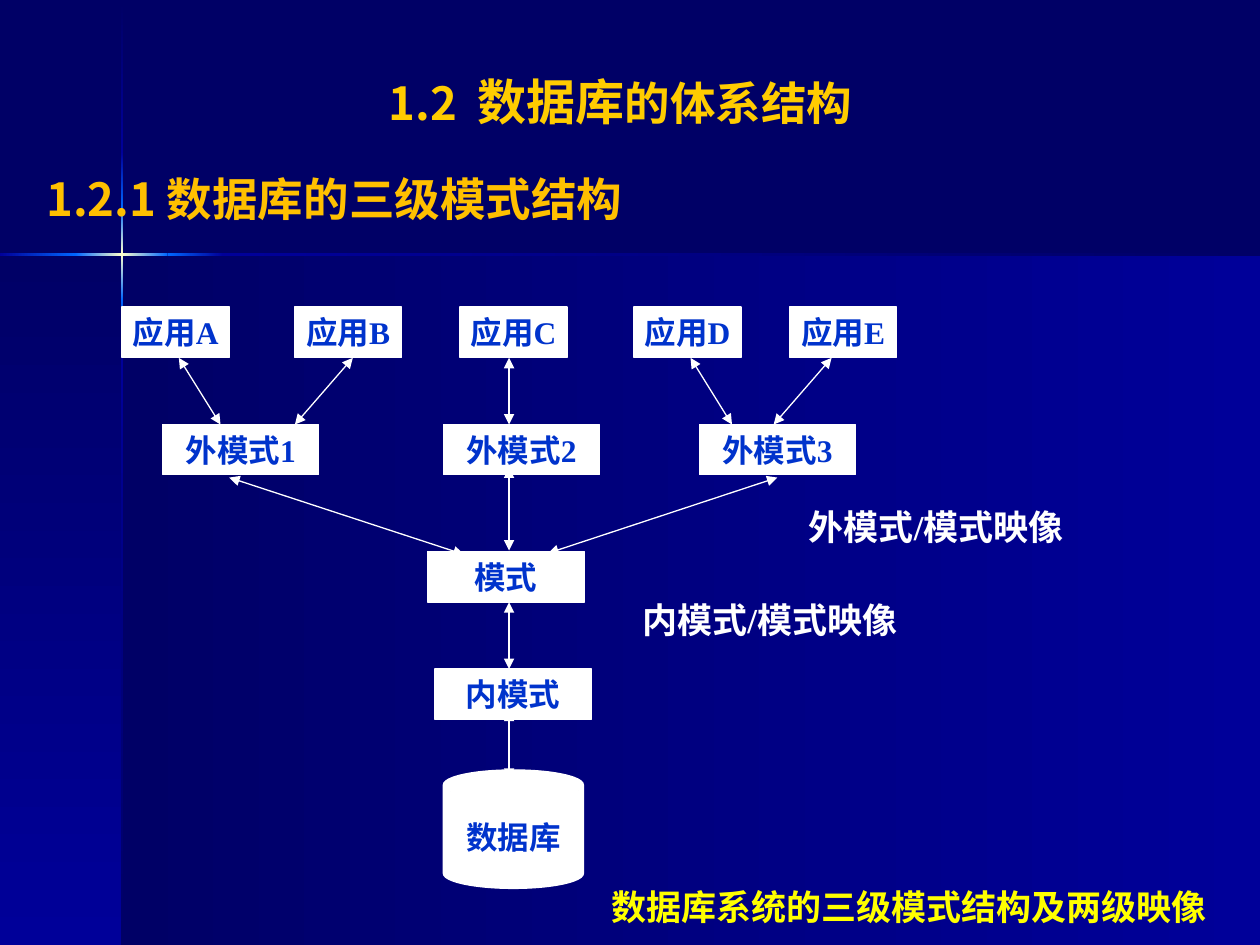
from copy import deepcopy

from lxml import etree
from pptx import Presentation
from pptx.dml.color import RGBColor
from pptx.enum.shapes import MSO_CONNECTOR, MSO_SHAPE
from pptx.enum.text import MSO_ANCHOR, MSO_AUTO_SIZE, PP_ALIGN
from pptx.oxml.ns import qn
from pptx.util import Pt

RECT, CAN = MSO_SHAPE.RECTANGLE, MSO_SHAPE.CAN
STRAIGHT = MSO_CONNECTOR.STRAIGHT
LEFT, CENTER = PP_ALIGN.LEFT, PP_ALIGN.CENTER
MIDDLE = MSO_ANCHOR.MIDDLE
GROW = MSO_AUTO_SIZE.SHAPE_TO_FIT_TEXT

SANS, SERIF = "Noto Sans CJK SC", "Times New Roman"
NIGHT, NAVY, AZURE, CREAM = "000066", "000099", "0066FF", "FFFFCC"
WHITE, INK, GOLD, AMBER, YELLOW = "FFFFFF", "0033CC", "FFCC00", "FFC000", "FFFF00"


def rgb(hex_color):
    return RGBColor.from_string(hex_color)


class SlideBuilder:
    line_width = 0.75

    def __init__(self, slide):
        self.slide = slide
        slide.background.fill.solid()
        slide.background.fill.fore_color.rgb = rgb(NIGHT)

    def shape(self, kind, left, top, width, height):
        shape = self.slide.shapes.add_shape(
            kind, Pt(left), Pt(top), Pt(width), Pt(height))
        shape.shadow.inherit = False
        return shape

    def gradient(self, left, top, width, height, colors, vertical):
        band = self.shape(RECT, left, top, width, height)
        band.line.fill.background()
        band.fill.gradient()
        band.fill.gradient_angle = 270 if vertical else 0
        stops = band._element.spPr.find(".//" + qn("a:gsLst"))
        for _ in colors[2:]:
            stops.insert(1, deepcopy(stops[0]))
        for i, (stop, color) in enumerate(zip(band.fill.gradient_stops, colors)):
            stop.position = i / (len(colors) - 1)
            stop.color.rgb = rgb(color)

    def add_run(self, paragraph, text, size, color, face, spacing=0):
        run = paragraph.add_run()
        run.text = text
        style = {"size": Pt(size), "bold": True, "name": face}
        for attribute, value in style.items():
            setattr(run.font, attribute, value)
        run.font.color.rgb = rgb(color)
        properties = run.font._element
        etree.SubElement(properties, qn("a:ea")).set("typeface", SANS)
        if spacing:
            properties.set("spc", str(spacing * 100))

    def node(self, text, left, top, width, height=28.8, kind=RECT):
        node = self.shape(kind, left, top, width, height)
        node.fill.solid()
        node.fill.fore_color.rgb = rgb(WHITE)
        node.line.color.rgb = rgb(WHITE)
        node.line.width = Pt(self.line_width)
        frame = node.text_frame
        frame.word_wrap = False
        frame.vertical_anchor = MIDDLE
        frame.paragraphs[0].alignment = CENTER
        self.add_run(frame.paragraphs[0], text, 18, INK, SERIF)
        return node

    def arrow(self, x1, y1, x2, y2):
        arrow = self.slide.shapes.add_connector(
            STRAIGHT, Pt(x1), Pt(y1), Pt(x2), Pt(y2))
        arrow.line.color.rgb = rgb(WHITE)
        arrow.line.width = Pt(self.line_width)
        properties = arrow._element.spPr
        outline = properties.find(qn("a:ln"))
        for end in ("a:headEnd", "a:tailEnd"):
            etree.SubElement(outline, qn(end)).set("type", "triangle")
        etree.SubElement(properties, qn("a:effectLst"))

    def text(self, runs, left, top, width, height, color, face=SANS, align=CENTER):
        box = self.slide.shapes.add_textbox(
            Pt(left), Pt(top), Pt(width), Pt(height))
        frame = box.text_frame
        frame.word_wrap = True
        frame.auto_size = GROW
        frame.paragraphs[0].alignment = align
        for text, size, *spacing in runs:
            self.add_run(frame.paragraphs[0], text, size, color, face, *spacing)


def main():
    deck = Presentation()
    deck.slide_width, deck.slide_height = Pt(720), Pt(540)
    page = SlideBuilder(deck.slides.add_slide(deck.slide_layouts[6]))

    # Background panels
    cross_x, cross_y = 69.84, 145.44
    page.gradient(cross_x, cross_y, 720 - cross_x, 540 - cross_y, [NIGHT, NAVY], False)
    page.gradient(0, cross_y, cross_x, 540 - cross_y, [NIGHT, NAVY], True)

    # Glowing cross: start, end and colours of each segment
    glow = [AZURE, CREAM, AZURE]
    upright = [(0.7, 87.1, [NIGHT, NAVY]), (203, 540, [NAVY, NIGHT]),
               (171.4, 203, [AZURE, NAVY]), (87.1, 118.8, [NAVY, AZURE]),
               (118.8, 171.4, glow)]
    for start, end, colors in upright:
        page.gradient(69.1, start, 1.4, end - start, colors, True)
    level = [(127.4, 720, [NAVY, NIGHT]), (0, 43.6, [NAVY, AZURE]),
             (95.8, 127.4, [AZURE, NAVY]), (43.2, 95.8, glow)]
    for start, end, colors in level:
        page.gradient(start, 144.7, end - start, 1.4, colors, False)

    # Applications and external schemas
    for letter, left in zip("ABCDE", (69.8, 168.3, 262.8, 362.2, 451.2)):
        page.node(f"应用{letter}", left, 175.5, 61.2)
    for number, left in enumerate((92.9, 253.4, 399.6), 1):
        page.node(f"外模式{number}", left, 242.6, 89.3)

    # Schema, internal schema and database
    page.node("模式", 244.1, 315.2, 90)
    page.node("内模式", 248.6, 382.3, 89.3)
    database = page.node("数据库", 253.4, 440, 80, 67.7, CAN)
    database.adjustments[0] = 0.25

    # Links from applications to external schemas
    axis = 290.9
    for app_x, schema_x in ((102.2, 126), (201.6, 168.5), (axis, axis),
                            (394.6, 418.3), (475.2, 442.1)):
        page.arrow(app_x, 204.5, schema_x, 242.6)

    # Links down the central axis and from the outer schemas
    for start, end in ((267.1, 314.6), (344.2, 382.3), (406.1, 445)):
        page.arrow(axis, start, axis, end)
    page.arrow(444.2, 272.9, 313.2, 316.1)
    page.arrow(131, 272.9, 265, 316.8)

    # Mapping labels and caption
    page.text([("外模式/模式映像", 20)], 431.3, 285.1, 207.4, 31.7, WHITE, SERIF)
    page.text([("内模式/模式映像", 20)], 344.9, 338.4, 190, 31.7, WHITE, SERIF)
    page.text([("数据库系统的三级模式结构及两级映像", 20)],
              281.5, 502.6, 475.9, 31.7, YELLOW)

    # Headings
    page.text([("1.2", 26), (" ", 26, 6), ("数据库", 28), ("的体系结构", 26)],
              48.2, 37.4, 612.7, 41, GOLD)
    page.text([("1.2.1 数据库的三级模式结构", 26)],
              19.4, 94.3, 646.6, 38.9, AMBER, align=LEFT)

    deck.save("out.pptx")


if __name__ == "__main__":
    main()
